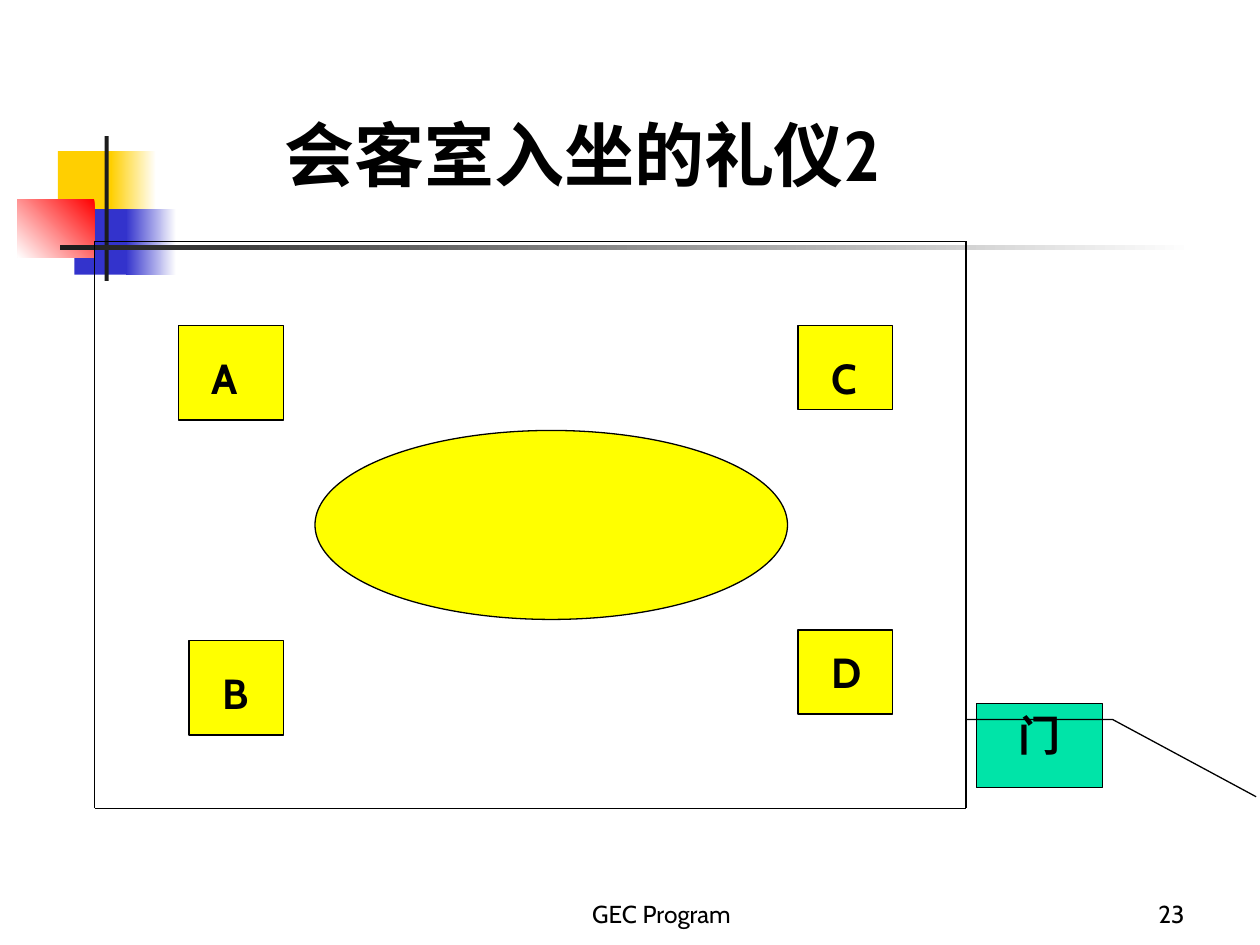
from lxml import etree
from pptx import Presentation
from pptx.dml.color import RGBColor
from pptx.enum.shapes import MSO_CONNECTOR, MSO_SHAPE
from pptx.enum.text import MSO_ANCHOR, PP_ALIGN
from pptx.oxml.ns import qn
from pptx.util import Pt

FONT = "Cabin"
COLORS = {
    "black": "000000", "white": "FFFFFF", "gold": "FFCF01", "blue": "3333CC",
    "red": "FF0000", "charcoal": "1C1C1C", "yellow": "FFFF00", "green": "00E4A8",
}
DECORATION = [
    ((33.12, 86.4, 34.56, 37.44), ("gold",), 0),
    ((63.36, 86.4, 25.92, 37.44), ("white", "gold"), 180),
    ((42.48, 119.52, 33.12, 37.44), ("blue",), 0),
    ((72, 119.52, 28.8, 37.44), ("white", "blue"), 180),
    ((10, 113.76, 44, 33.3), ("red", "white"), 225),
    ((59.76, 77.76, 2.4, 82.8), ("charcoal",), 0),
    ((34.56, 140.2, 648, 2.4), ("white", "charcoal"), 180),
]
TITLE = ("会客室入坐的礼仪2", (78, 60, 510, 55.5))
TABLE = (180, 246, 270, 108)
SEATS = [
    ("A", (102, 186, 60, 54), (114, 198, 30, 36)),
    ("B", (108, 366, 54, 54), (120, 378, 30, 36)),
    ("C", (456, 186, 54, 48), (468, 198, 36, 36)),
    ("D", (456, 360, 54, 48), (468, 366, 30, 36)),
]
DOOR = ("门", (558, 402, 72, 48))
DOOR_POINTER = (0.19, -0.08, 0.19, 1.08, 1.11, 2.22)
ROOM = (54, 138, 552, 462)
FOOTERS = [
    ("GEC Program", (264, 498, 228, 36), PP_ALIGN.CENTER),
    ("23", (534, 498, 150, 36), PP_ALIGN.RIGHT),
]


def color(name):
    return RGBColor.from_string(COLORS[name])


def points(box):
    return [Pt(length) for length in box]


def outline(line):
    line.color.rgb = color("black")
    line.width = Pt(0.75)


def add_block(slide, kind, box, fills, angle=0, outlined=True):
    block = slide.shapes.add_shape(kind, *points(box))
    block.shadow.inherit = False
    if len(fills) == 1:
        block.fill.solid()
        block.fill.fore_color.rgb = color(fills[0])
    else:
        block.fill.gradient()
        block.fill.gradient_angle = angle
        for stop, name in zip(block.fill.gradient_stops, fills):
            stop.color.rgb = color(name)
    if outlined:
        outline(block.line)
    else:
        block.line.fill.background()
    return block


def write(shape, text, size, bold=True, align=PP_ALIGN.LEFT, anchor=MSO_ANCHOR.TOP):
    frame = shape.text_frame
    frame.word_wrap = True
    frame.vertical_anchor = anchor
    paragraph = frame.paragraphs[0]
    paragraph.alignment = align
    run = paragraph.add_run()
    run.text = text
    run.font.name = FONT
    run.font.size = Pt(size)
    run.font.bold = bold
    run.font.color.rgb = color("black")


def add_wall(slide, *ends):
    wall = slide.shapes.add_connector(MSO_CONNECTOR.STRAIGHT, *points(ends))
    outline(wall.line)
    etree.SubElement(wall._element.spPr, qn("a:effectLst"))


def main():
    deck = Presentation()
    deck.slide_width, deck.slide_height = Pt(720), Pt(540)
    slide = deck.slides.add_slide(deck.slide_layouts[6])

    for box, fills, angle in DECORATION:
        add_block(slide, MSO_SHAPE.RECTANGLE, box, fills, angle, outlined=False)

    title, title_box = TITLE
    write(slide.shapes.add_textbox(*points(title_box)), title, 40, align=PP_ALIGN.CENTER)

    add_block(slide, MSO_SHAPE.OVAL, TABLE, ("yellow",))
    for letter, seat_box, letter_box in SEATS:
        add_block(slide, MSO_SHAPE.RECTANGLE, seat_box, ("yellow",))
        write(slide.shapes.add_textbox(*points(letter_box)), letter, 24)

    door_text, door_box = DOOR
    door = add_block(slide, MSO_SHAPE.LINE_CALLOUT_2, door_box, ("green",))
    for index, value in enumerate(DOOR_POINTER):
        door.adjustments[index] = value
    write(door, door_text, 24, align=PP_ALIGN.CENTER)

    left, top, right, bottom = ROOM
    for x in (left, right):
        add_wall(slide, x, top, x, bottom)
    for y in (top, bottom):
        add_wall(slide, left, y, right, y)

    for text, box, align in FOOTERS:
        footer = slide.shapes.add_textbox(*points(box))
        write(footer, text, 14, False, align, MSO_ANCHOR.BOTTOM)

    deck.save("out.pptx")


if __name__ == "__main__":
    main()
